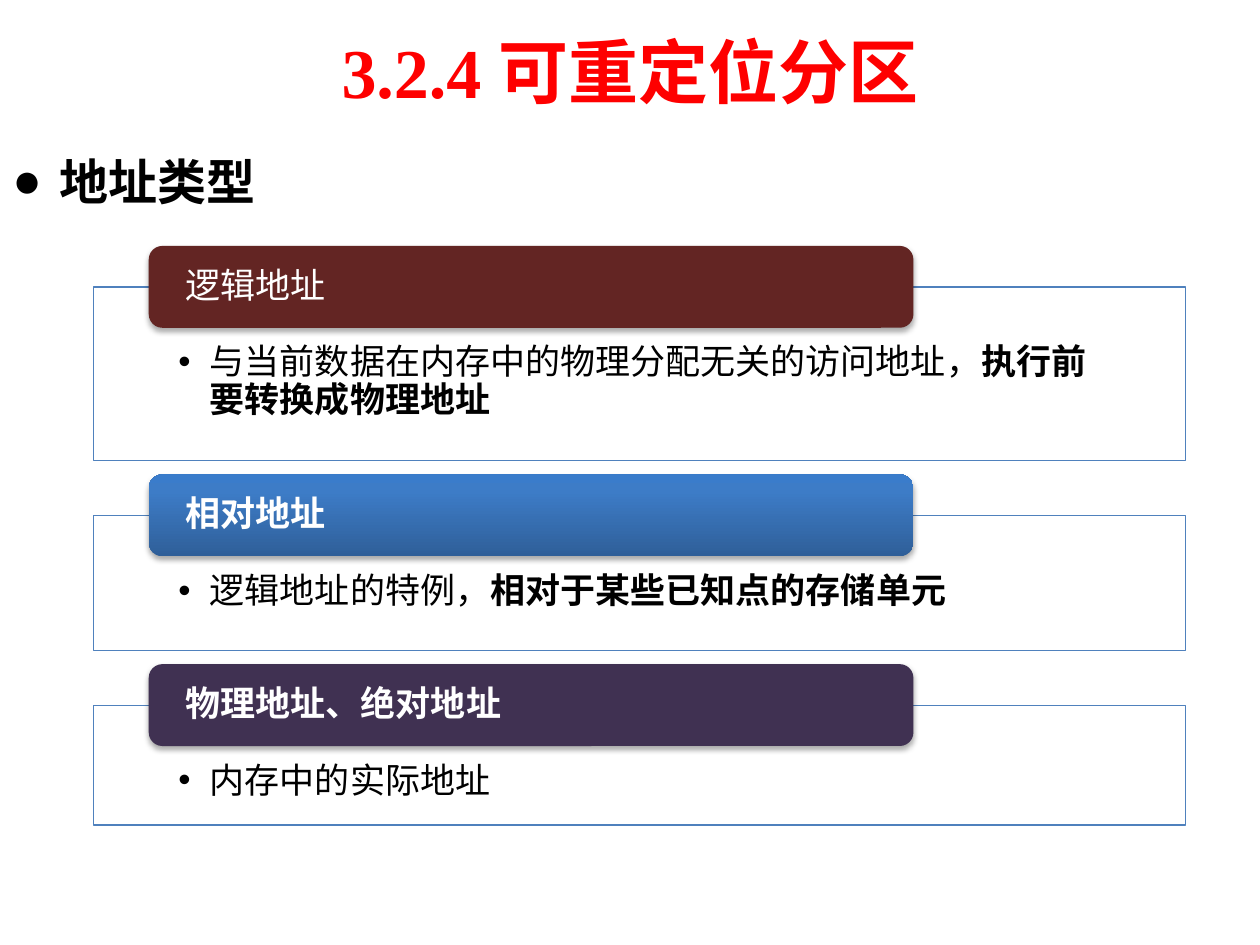
import copy

import pptx
import pptx.dml.color
import pptx.enum.shapes
import pptx.enum.text
import pptx.oxml.ns
import pptx.util
from lxml import etree

Pt = pptx.util.Pt
RGBColor = pptx.dml.color.RGBColor
Shape = pptx.enum.shapes.MSO_SHAPE
Align = pptx.enum.text.PP_ALIGN
Anchor = pptx.enum.text.MSO_ANCHOR
qn = pptx.oxml.ns.qn

RED = RGBColor(0xFE, 0x00, 0x00)
BLACK = RGBColor(0x00, 0x00, 0x00)
WHITE = RGBColor(0xFF, 0xFF, 0xFF)
BLUE = RGBColor(0x4F, 0x81, 0xBD)
MAROON = RGBColor(0x63, 0x25, 0x23)
PURPLE = RGBColor(0x40, 0x31, 0x52)
BLUE_GRADIENT = [
    (0, RGBColor(0x2F, 0x5F, 0x99)),
    (0.8, RGBColor(0x3D, 0x7C, 0xC7)),
    (1, RGBColor(0x3A, 0x7C, 0xCB)),
]

TITLE = "3.2.4 可重定位分区"
HEADING = "地址类型"
# Each run is (text, bold).
SECTIONS = [
    {"label": ("逻辑地址", False), "fill": MAROON, "height": 99.2, "font": "Arial",
     "runs": [("与当前数据在内存中的物理分配无关的访问地址，", False),
              ("执行前要转换成物理地址", True)]},
    {"label": ("相对地址", True), "fill": BLUE_GRADIENT, "height": 77, "font": "Arial",
     "runs": [("逻辑地址的特例，", False), ("相对于某些已知点的存储单元", True)]},
    {"label": ("物理地址、绝对地址", True), "fill": PURPLE, "height": 68.4, "font": "Calibri",
     "runs": [("内存中的实际地址", False)]},
]

BOX_LEFT, BOX_WIDTH, FIRST_BOX_TOP, BOX_GAP = 53.4, 624, 164, 31.4
TAB_LEFT, TAB_WIDTH, TAB_HEIGHT, TAB_RISE = 85, 437, 46.8, 23.5


def set_attributes(target, values):
    for name, value in values.items():
        setattr(target, name, value)


def set_frame(frame, margins, anchor):
    left, top, right, bottom = margins
    set_attributes(frame, {
        "word_wrap": True, "vertical_anchor": anchor,
        "margin_left": Pt(left), "margin_top": Pt(top),
        "margin_right": Pt(right), "margin_bottom": Pt(bottom),
    })


def write_paragraph(paragraph, runs, font, paragraph_format):
    set_attributes(paragraph, paragraph_format)
    for text, bold in runs:
        run = paragraph.add_run()
        run.text = text
        color = font["color"]
        set_attributes(run.font, {"name": font["name"], "size": Pt(font["size"]), "bold": bold})
        run.font.color.rgb = color


def add_bullet(paragraph, character, indent):
    properties = paragraph._p.get_or_add_pPr()
    properties.set("marL", str(Pt(indent)))
    properties.set("indent", str(-Pt(indent)))
    etree.SubElement(properties, qn("a:buFont")).set("typeface", "Arial")
    etree.SubElement(properties, qn("a:buChar")).set("char", character)


def set_gradient(fill, shape, stops):
    fill.gradient()
    fill.gradient_angle = 90
    stop_list = shape._element.spPr.find(".//" + qn("a:gsLst"))
    while len(stop_list) < len(stops):
        stop_list.append(copy.deepcopy(stop_list[-1]))
    for stop, (position, color) in zip(fill.gradient_stops, stops):
        stop.position = position
        stop.color.rgb = color


def add_shadow(shape):
    effects = shape._element.spPr.find(qn("a:effectLst"))
    shadow = etree.SubElement(effects, qn("a:outerShdw"), {
        "blurRad": str(Pt(3.1)), "dist": str(Pt(1.8)), "dir": "5400000", "rotWithShape": "0"})
    color = etree.SubElement(shadow, qn("a:srgbClr"), val="000000")
    etree.SubElement(color, qn("a:alpha"), val="35000")


def add_box(slide, section, top):
    box = slide.shapes.add_shape(
        Shape.RECTANGLE, Pt(BOX_LEFT), Pt(top), Pt(BOX_WIDTH), Pt(section["height"]))
    box.shadow.inherit = False
    box.fill.solid()
    box.fill.fore_color.rgb = WHITE
    color = box._element.spPr.find(qn("a:solidFill"))[0]
    etree.SubElement(color, qn("a:alpha"), val="90000")
    box.line.color.rgb = BLUE
    box.line.width = Pt(0.75)
    set_frame(box.text_frame, (48.5, 33, 48.5, 11.5), Anchor.TOP)
    paragraph = box.text_frame.paragraphs[0]
    write_paragraph(paragraph, section["runs"],
                    {"name": section["font"], "size": 20, "color": BLACK},
                    {"alignment": Align.LEFT, "line_spacing": 0.9, "space_after": Pt(3)})
    add_bullet(paragraph, "•", 18)


def add_tab(slide, section, top):
    tab = slide.shapes.add_shape(
        Shape.ROUNDED_RECTANGLE, Pt(TAB_LEFT), Pt(top), Pt(TAB_WIDTH), Pt(TAB_HEIGHT))
    tab.shadow.inherit = False
    add_shadow(tab)
    if isinstance(section["fill"], list):
        set_gradient(tab.fill, tab, section["fill"])
    else:
        tab.fill.solid()
        tab.fill.fore_color.rgb = section["fill"]
    tab.line.fill.background()
    set_frame(tab.text_frame, (18.8, 0, 18.8, 0), Anchor.MIDDLE)
    write_paragraph(tab.text_frame.paragraphs[0], [section["label"]],
                    {"name": "Calibri", "size": 20, "color": WHITE},
                    {"alignment": Align.LEFT, "line_spacing": 0.9, "space_after": Pt(7)})


def main():
    presentation = pptx.Presentation()
    set_attributes(presentation, {"slide_width": Pt(720), "slide_height": Pt(540)})
    slide = presentation.slides.add_slide(presentation.slide_layouts[5])

    title = slide.shapes.title
    set_attributes(title, {"left": Pt(36), "top": Pt(3.6), "width": Pt(648), "height": Pt(73.4)})
    set_frame(title.text_frame, (7.2, 3.6, 7.2, 3.6), Anchor.MIDDLE)
    write_paragraph(title.text_frame.paragraphs[0], [(TITLE, True)],
                    {"name": "Times New Roman", "size": 40, "color": RED},
                    {"alignment": Align.CENTER})

    heading = slide.shapes.add_textbox(Pt(0), Pt(82.8), Pt(680.4), Pt(50))
    set_frame(heading.text_frame, (7.2, 3.6, 7.2, 3.6), Anchor.TOP)
    paragraph = heading.text_frame.paragraphs[0]
    write_paragraph(paragraph, [(HEADING, True)],
                    {"name": "Times New Roman", "size": 28, "color": BLACK},
                    {"space_before": Pt(5.6), "space_after": Pt(5.6)})
    add_bullet(paragraph, "●", 27)

    top = FIRST_BOX_TOP
    for section in SECTIONS:
        add_box(slide, section, top)
        add_tab(slide, section, top - TAB_RISE)
        top += section["height"] + BOX_GAP

    presentation.save("out.pptx")


if __name__ == "__main__":
    main()
